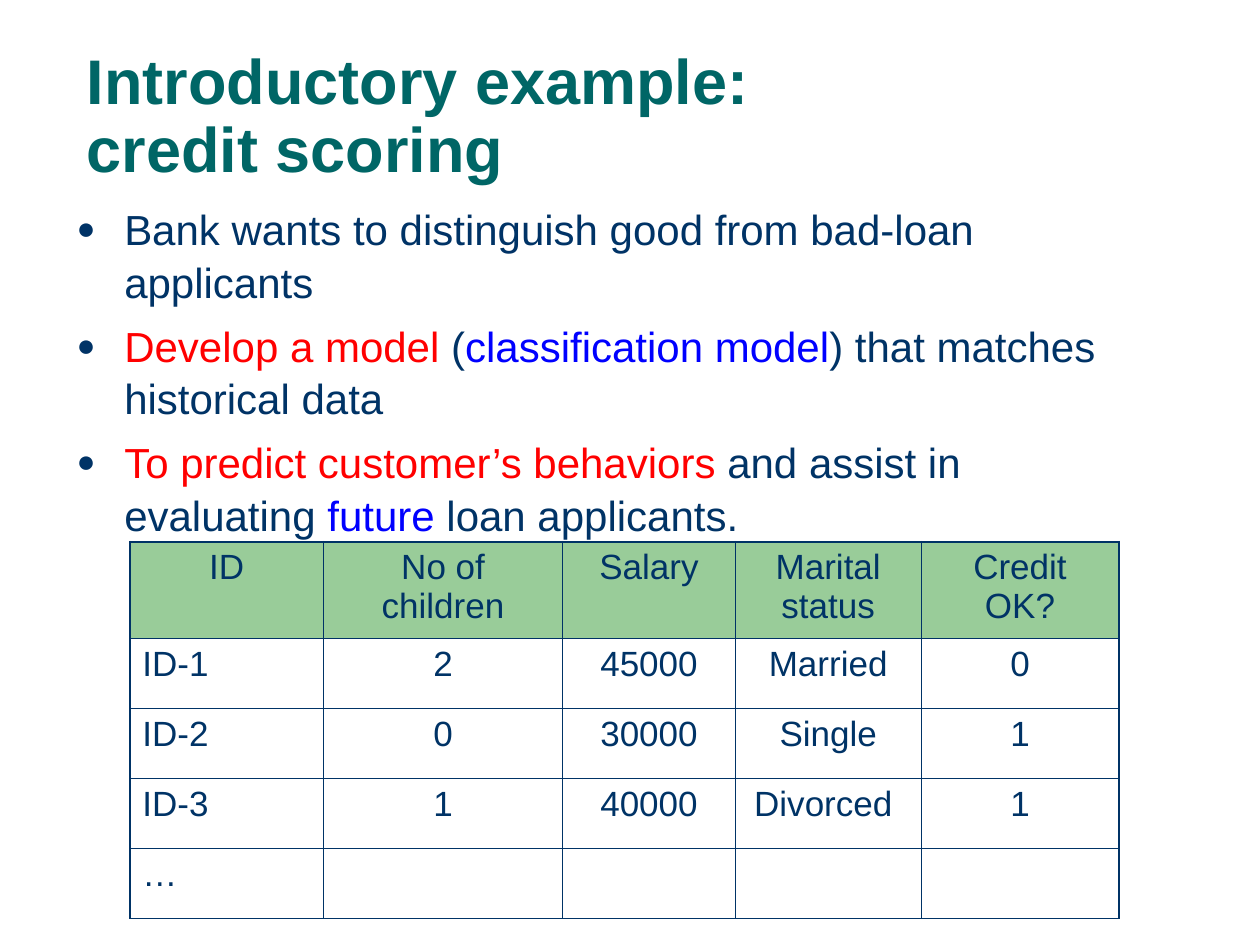
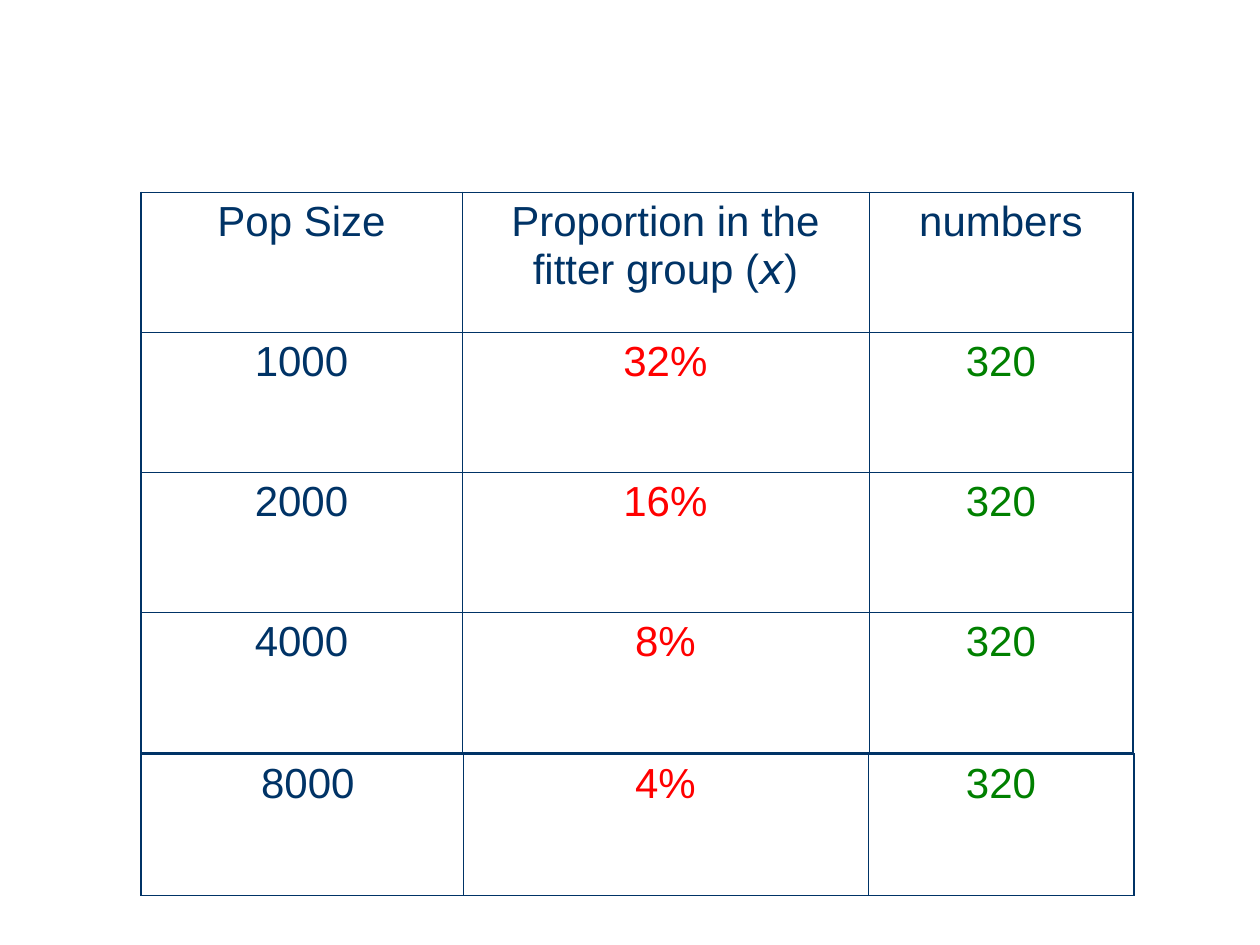
from lxml import etree
from pptx import Presentation
from pptx.dml.color import RGBColor
from pptx.enum.text import MSO_ANCHOR as Anchor, MSO_AUTO_SIZE as AutoSize, PP_ALIGN as Align
from pptx.oxml.ns import qn
from pptx.util import Pt

NAVY = RGBColor(0x00, 0x33, 0x66)
TEAL = RGBColor(0x00, 0x66, 0x66)
RED = RGBColor(0xFF, 0x00, 0x00)
BLUE = RGBColor(0x00, 0x00, 0xFF)
GREEN = RGBColor(0x00, 0x80, 0x00)
HEADER_GREEN = RGBColor(0x99, 0xCC, 0x99)

FONT = "Arial"
SYMBOL_FONT = "DejaVu Sans"
TITLE_ONLY, BLANK = 5, 6
OUTER_LINE, INNER_LINE = Pt(1.08), Pt(0.45)

BULLETS = [
    [("Bank wants to distinguish good from bad-loan applicants", NAVY)],
    [("Develop a model", RED), (" (", NAVY), ("classification model", BLUE),
     (") that matches historical data", NAVY)],
    [("To predict customer’s behaviors", RED), (" and assist in evaluating ", NAVY),
     ("future", BLUE), (" loan applicants.", NAVY)],
]
APPLICANTS = [
    ["ID", "No of children", "Salary", "Marital status", "Credit OK?"],
    ["ID-1", "2", "45000", "Married", "0"],
    ["ID-2", "0", "30000", "Single", "1"],
    ["ID-3", "1", "40000", "Divorced ", "1"],
    ["…", "", "", "", ""],
]
POPULATIONS = [
    ["Pop Size", "Proportion in the fitter group (", "numbers"],
    ["1000", "32%", "320"],
    ["2000", "16%", "320"],
    ["4000", "8%", "320"],
]
LARGEST_POPULATION = [[" 8000", "4%", "320"]]


def style_font(font, size, color, bold=None):
    font.name, font.size, font.bold = FONT, Pt(size), bold
    font.color.rgb = color


def place(shape, left, top, width, height):
    shape.left, shape.top = Pt(left), Pt(top)
    shape.width, shape.height = Pt(width), Pt(height)


def add_title(page, text):
    title = page.shapes.title
    place(title, 42.5, 20.2, 630, 90)
    frame = title.text_frame
    frame.text = text
    frame.auto_size = AutoSize.NONE
    frame.vertical_anchor = Anchor.BOTTOM
    para = frame.paragraphs[0]
    para.alignment = Align.LEFT
    para.line_spacing = 0.9
    style_font(para.font, 36, TEAL, bold=True)


def set_bullet(para, indent):
    props = para._p.get_or_add_pPr()
    props.set("marL", str(Pt(indent)))
    props.set("indent", str(-Pt(indent)))
    color = etree.SubElement(props, qn("a:buClr"))
    etree.SubElement(color, qn("a:srgbClr"), val=str(NAVY))
    etree.SubElement(props, qn("a:buSzPct"), val="75000")
    etree.SubElement(props, qn("a:buFont"), typeface=FONT)
    etree.SubElement(props, qn("a:buChar"), char="●")


def add_bullets(page, items):
    frame = page.shapes.add_textbox(Pt(36.7), Pt(111.5), Pt(630), Pt(311)).text_frame
    frame.word_wrap = True
    for index, spans in enumerate(items):
        para = frame.add_paragraph() if index else frame.paragraphs[0]
        para.line_spacing = 1.05
        if index:
            para.space_before = Pt(6)
        set_bullet(para, 27.2)
        style_font(para.font, 24, NAVY)
        for text, color in spans:
            span = para.add_run()
            span.text = text
            span.font.color.rgb = color


def set_borders(cell, edges):
    """Draw the four cell borders; edges names the sides on the table's rim."""
    props = cell._tc.get_or_add_tcPr()
    for side in "LRTB":
        width = OUTER_LINE if side in edges else INNER_LINE
        line = etree.SubElement(props, qn(f"a:ln{side}"), w=str(width))
        fill = etree.SubElement(line, qn("a:solidFill"))
        etree.SubElement(fill, qn("a:srgbClr"), val=str(NAVY))


def add_grid(page, left, top, widths, heights, rows, size, colors,
             header_fill=None, first_align=Align.CENTER):
    """Add a ruled table; colors gives the body text colour of each column."""
    shape = page.shapes.add_table(len(rows), len(widths), Pt(left), Pt(top),
                                  Pt(sum(widths)), Pt(sum(heights)))
    table = shape.table
    table.first_row = table.horz_banding = False
    for column, width in zip(table.columns, widths):
        column.width = Pt(width)
    for row, height in zip(table.rows, heights):
        row.height = Pt(height)
    last_row, last_column = len(rows) - 1, len(widths) - 1
    for r, texts in enumerate(rows):
        is_header = r == 0 and last_row > 0
        for c, text in enumerate(texts):
            cell = table.cell(r, c)
            rim = {"L": c == 0, "R": c == last_column, "T": r == 0, "B": r == last_row}
            set_borders(cell, [side for side, on_rim in rim.items() if on_rim])
            if is_header and header_fill:
                cell.fill.solid()
                cell.fill.fore_color.rgb = header_fill
            else:
                cell.fill.background()
            para = cell.text_frame.paragraphs[0]
            para.alignment = first_align if c == 0 and not is_header else Align.CENTER
            style_font(para.font, size, NAVY if is_header else colors[c])
            if text:
                para.add_run().text = text
    return table


def add_variable(cell, name):
    """Append an italic variable name and the closing bracket."""
    para = cell.text_frame.paragraphs[0]
    span = para.add_run()
    span.text = name
    span.font.name, span.font.italic = SYMBOL_FONT, True
    para.add_run().text = ")"


def add_credit_page(deck):
    page = deck.slides.add_slide(deck.slide_layouts[TITLE_ONLY])
    add_title(page, "Introductory example: \vcredit scoring")
    add_bullets(page, BULLETS)
    add_grid(page, 74.2, 309.6, [110.6, 136.8, 98.6, 106.2, 113], [55.2] + [40] * 4,
             APPLICANTS, 20, [NAVY] * 5, HEADER_GREEN, Align.LEFT)


def add_population_page(deck):
    page = deck.slides.add_slide(deck.slide_layouts[BLANK])
    colors = [NAVY, RED, GREEN]
    table = add_grid(page, 80.6, 110, [183.4, 232.6, 150.8], [80] * 4,
                     POPULATIONS, 24, colors)
    add_variable(table.cell(0, 1), "x")
    add_grid(page, 80.6, 431, [184, 231.4, 152], [80.8], LARGEST_POPULATION, 24, colors)


def main():
    deck = Presentation()
    deck.slide_width, deck.slide_height = Pt(720), Pt(540)
    add_credit_page(deck)
    add_population_page(deck)
    deck.save("out.pptx")


if __name__ == "__main__":
    main()
